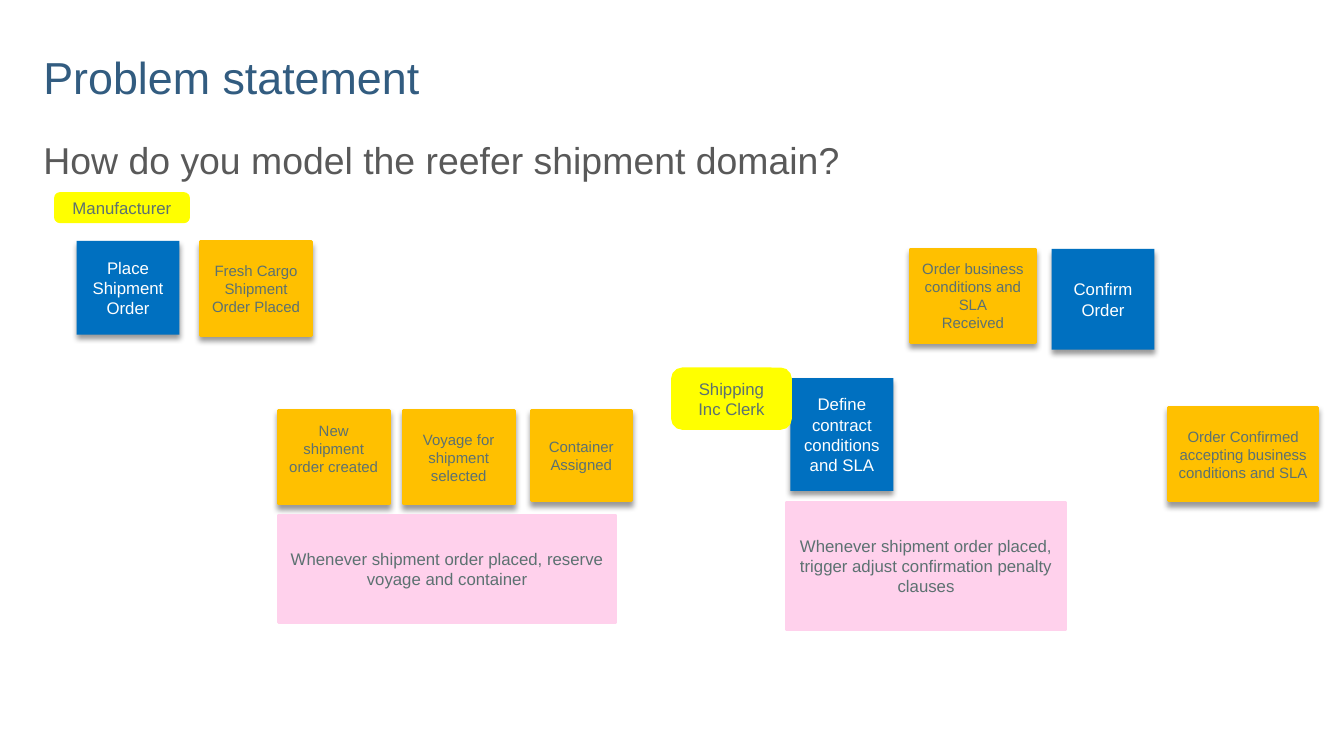
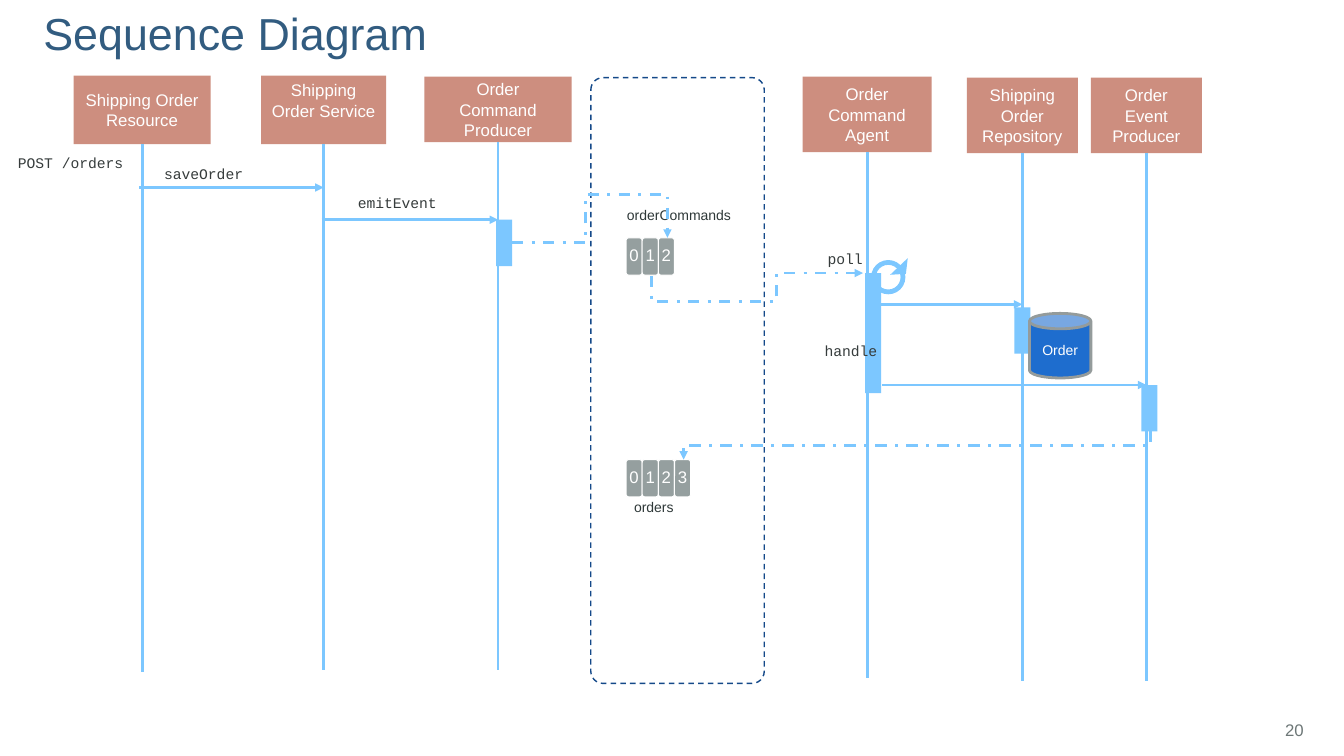
from dataclasses import dataclass

from lxml import etree
from pptx import Presentation
from pptx.dml.color import RGBColor
from pptx.enum.dml import MSO_LINE
from pptx.enum.shapes import MSO_CONNECTOR, MSO_SHAPE
from pptx.enum.text import MSO_ANCHOR, MSO_AUTO_SIZE, PP_ALIGN
from pptx.oxml.ns import qn
from pptx.util import Emu, Pt

RECTANGLE = MSO_SHAPE.RECTANGLE
ROUNDED = MSO_SHAPE.ROUNDED_RECTANGLE
CAN = MSO_SHAPE.CAN
DONUT = MSO_SHAPE.DONUT
TRIANGLE = MSO_SHAPE.ISOSCELES_TRIANGLE
STRAIGHT = MSO_CONNECTOR.STRAIGHT
ELBOW = MSO_CONNECTOR.ELBOW
DASH = MSO_LINE.DASH
DASH_DOT = MSO_LINE.DASH_DOT
LEFT, CENTER, RIGHT = PP_ALIGN.LEFT, PP_ALIGN.CENTER, PP_ALIGN.RIGHT
TOP, MIDDLE, BOTTOM = MSO_ANCHOR.TOP, MSO_ANCHOR.MIDDLE, MSO_ANCHOR.BOTTOM
NO_FIT, GROW = MSO_AUTO_SIZE.NONE, MSO_AUTO_SIZE.SHAPE_TO_FIT_TEXT

EMU_PER_PX = 9144
SLIDE_WIDTH, SLIDE_HEIGHT = 1333, 750
TITLE_ONLY_LAYOUT, TITLE_BODY_LAYOUT = 5, 1
BOTTOM_SIDE = 2


@dataclass(frozen=True)
class Theme:
    font: str = "Arial"
    code_font: str = "Courier New"
    title: str = "325C80"
    body: str = "595959"
    note_text: str = "5C7171"
    label: str = "2E3838"
    code: str = "363C3C"
    page: str = "6D7777"
    white: str = "FFFFFF"
    event: str = "FFC000"
    command: str = "0070C0"
    actor: str = "FFFF00"
    policy: str = "FFD1EC"
    participant: str = "CD8E7F"
    flow: str = "7CC7FF"
    message: str = "959F9F"
    frame: str = "144989"
    store: str = "1E6DCE"
    store_line: str = "949B9B"
    title_size: float = 32
    body_size: float = 26.7
    text_size: float = 12
    event_size: float = 10.7
    code_size: float = 10.5
    label_size: float = 10
    line: float = 2
    thin_line: float = 0.75


THEME = Theme()


def px(length):
    return Emu(round(length * EMU_PER_PX))


def write(frame, text, *, size=THEME.text_size, color=THEME.white, font=THEME.font,
          align=CENTER, anchor=MIDDLE, insets=(10, 5, 10, 5), wrap=True,
          fit=NO_FIT, line_spacing=None, space_before=0):
    frame.auto_size = fit
    frame.word_wrap = wrap
    frame.vertical_anchor = anchor
    frame.margin_left, frame.margin_top, frame.margin_right, frame.margin_bottom = map(px, insets)
    for index, words in enumerate(text.split("\n")):
        paragraph = frame.add_paragraph() if index else frame.paragraphs[0]
        paragraph.alignment = align
        paragraph.space_before = Pt(space_before)
        if line_spacing:
            paragraph.line_spacing = line_spacing
        run = paragraph.add_run()
        run.text = words
        run.font.name = font
        run.font.size = Pt(size)
        run.font.color.rgb = RGBColor.from_string(color)


class Deck:
    def __init__(self, theme):
        self.theme = theme
        self.presentation = Presentation()
        self.presentation.slide_width = px(SLIDE_WIDTH)
        self.presentation.slide_height = px(SLIDE_HEIGHT)
        self.slide = None

    def add_slide(self, layout, title, title_height):
        self.slide = self.presentation.slides.add_slide(self.presentation.slide_layouts[layout])
        shape = self.slide.shapes.title
        self.place(shape, 43, 7, 1191, title_height)
        write(shape.text_frame, title, size=self.theme.title_size, color=self.theme.title,
              align=LEFT, anchor=BOTTOM, insets=(0, 5, 10, 0), line_spacing=0.85)

    def place(self, shape, left, top, width, height):
        shape.left, shape.top, shape.width, shape.height = map(px, (left, top, width, height))

    def body(self, text, left, top, width, height):
        shape = self.slide.placeholders[1]
        self.place(shape, left, top, width, height)
        write(shape.text_frame, text, size=self.theme.body_size, color=self.theme.body,
              align=LEFT, anchor=TOP, insets=(0, 5, 10, 5), space_before=8)
        properties = shape.text_frame.paragraphs[0]._p.get_or_add_pPr()
        properties.set("marL", "0")
        properties.set("indent", "0")
        etree.SubElement(properties, qn("a:buNone"))

    def box(self, left, top, width, height, fill=None, line=None, line_width=THEME.line,
            kind=RECTANGLE, text=None, adjustment=None, shadow=False, **text_format):
        shape = self.slide.shapes.add_shape(kind, *map(px, (left, top, width, height)))
        shape.shadow.inherit = False
        if fill:
            shape.fill.solid()
            shape.fill.fore_color.rgb = RGBColor.from_string(fill)
        else:
            shape.fill.background()
        if line:
            shape.line.color.rgb = RGBColor.from_string(line)
            shape.line.width = Pt(line_width)
        else:
            shape.line.fill.background()
        if adjustment is not None:
            shape.adjustments[0] = adjustment
        if shadow:
            self.drop_shadow(shape)
        if text:
            write(shape.text_frame, text, **text_format)
        return shape

    def drop_shadow(self, shape):
        effects = shape.element.spPr.find(qn("a:effectLst"))
        outer = etree.SubElement(effects, qn("a:outerShdw"), blurRad=str(Pt(4)),
                                 dist=str(Pt(3)), dir="5400000", rotWithShape="0")
        color = etree.SubElement(outer, qn("a:srgbClr"), val="000000")
        etree.SubElement(color, qn("a:alpha"), val="40000")

    def event(self, text, left, top, width, height=93, **text_format):
        self.box(left, top, width, height, self.theme.event, self.theme.event, text=text,
                 shadow=True, size=self.theme.event_size, color=self.theme.note_text,
                 **text_format)

    def command(self, text, left, top, height):
        self.box(left, top, 102, height, self.theme.command, text=text, shadow=True)

    def actor(self, text, left, top, width, height):
        self.box(left, top, width, height, self.theme.actor, self.theme.actor,
                 kind=ROUNDED, text=text, color=self.theme.note_text)

    def policy(self, text, left, top, width, height):
        self.box(left, top, width, height, self.theme.policy, self.theme.policy,
                 text=text, color=self.theme.note_text)

    def participant(self, text, center, top, width, height, line_end, **text_format):
        header = self.box(center - width // 2, top, width, height, self.theme.participant,
                          text=text, **text_format)
        lifeline = self.straight((center, top + height), (center, line_end))
        lifeline.begin_connect(header, BOTTOM_SIDE)

    def activation(self, left, top, height=46):
        self.box(left, top, 16, height, self.theme.flow)

    def queue(self, left, top, count):
        for number in range(count):
            self.box(left + 16 * number, top, 16, 37, self.theme.message, self.theme.white,
                     self.theme.thin_line, ROUNDED, str(number),
                     insets=(0, 0, 0, 0), line_spacing=0.9)

    def text_box(self, text, left, top, width, height, **text_format):
        shape = self.slide.shapes.add_textbox(*map(px, (left, top, width, height)))
        write(shape.text_frame, text, **text_format)

    def label(self, text, left, top, width):
        self.text_box(text, left, top, width, 27, size=self.theme.label_size,
                      color=self.theme.label, align=LEFT, anchor=TOP, wrap=False, fit=GROW)

    def code(self, text, left, top, width):
        self.text_box(text, left, top, width, 28, size=self.theme.code_size,
                      color=self.theme.code, font=self.theme.code_font,
                      align=LEFT, anchor=TOP, wrap=False, fit=GROW)

    def style_connector(self, connector, arrow, dash=None):
        connector.line.color.rgb = RGBColor.from_string(self.theme.flow)
        connector.line.width = Pt(self.theme.line)
        if dash:
            connector.line.dash_style = dash
        properties = connector.element.spPr
        if arrow:
            etree.SubElement(properties.find(qn("a:ln")), qn("a:tailEnd"), type="triangle")
        etree.SubElement(properties, qn("a:effectLst"))

    def straight(self, start, end, arrow=False):
        connector = self.slide.shapes.add_connector(STRAIGHT, *map(px, (*start, *end)))
        self.style_connector(connector, arrow)
        return connector

    def elbow(self, start, end, *bends, vertical=False):
        axes = (1, 0) if vertical else (0, 1)
        spans = [end[axis] - start[axis] for axis in axes]
        width, height = map(abs, spans)
        connector = self.slide.shapes.add_connector(ELBOW, 0, 0, 0, 0)
        self.place(connector, (start[0] + end[0] - width) / 2,
                   (start[1] + end[1] - height) / 2, width, height)
        properties = connector.element.spPr
        transform = properties.find(qn("a:xfrm"))
        if vertical:
            transform.set("rot", "5400000")
        if spans[0] < 0:
            transform.set("flipH", "1")
        if (spans[1] > 0) if vertical else (spans[1] < 0):
            transform.set("flipV", "1")
        geometry = properties.find(qn("a:prstGeom"))
        geometry.set("prst", f"bentConnector{len(bends) + 2}")
        guides = geometry.find(qn("a:avLst"))
        for number, (bend, axis, span) in enumerate(zip(bends, axes, spans), 1):
            ratio = round((bend - start[axis]) / span * 100000)
            etree.SubElement(guides, qn("a:gd"), name=f"adj{number}", fmla=f"val {ratio}")
        self.style_connector(connector, True, DASH_DOT)


def build_problem_statement(deck):
    deck.add_slide(TITLE_BODY_LAYOUT, "Problem statement", 96)
    deck.body("How do you model the reefer shipment domain?", 43, 131, 1224, 79)
    deck.event("Fresh Cargo Shipment Order Placed", 199, 240, 110)
    deck.event("New\nshipment order created", 276, 407, 110, insets=(10, 5, 10, 22))
    deck.event("Container Assigned", 527, 407, 99, 90)
    deck.event("Voyage for shipment\nselected", 400, 407, 110)
    deck.event("Order Confirmed accepting business conditions and SLA", 1159, 404, 148)
    deck.event("Order business conditions and SLA\nReceived", 903, 247, 124)
    deck.actor("Manufacturer", 55, 192, 132, 28)
    deck.command("Place Shipment Order", 76, 239, 93)
    deck.command("Confirm Order", 1043, 247, 100)
    deck.command("Define contract conditions and SLA", 784, 375, 112)
    deck.actor("Shipping Inc Clerk", 667, 366, 117, 59)
    deck.policy("Whenever shipment order placed, trigger adjust confirmation penalty clauses",
                780, 498, 277, 127)
    deck.policy("Whenever shipment order placed, reserve voyage and container",
                276, 511, 335, 107)


def build_sequence_diagram(deck):
    theme = deck.theme
    resource, service, producer, agent, repository, event = 141, 321, 494, 860, 1014, 1137
    deck.add_slide(TITLE_ONLY_LAYOUT, "Sequence Diagram", 52)
    deck.text_box("20", 1245, 704, 58, 40, color=theme.page, align=RIGHT)

    deck.participant("Shipping Order Resource", resource, 75, 136, 68, 667)
    deck.participant("Shipping Order Service", service, 75, 124, 68, 665,
                     insets=(10, 5, 10, 24))
    deck.participant("Order\nCommand\nProducer", producer, 76, 146, 65, 665)
    deck.participant("Order Command\nAgent", agent, 76, 128, 75, 673)
    deck.participant("Shipping Order Repository", repository, 77, 110, 75, 676)
    deck.participant("Order\nEvent\nProducer", event, 77, 110, 75, 676)

    deck.activation(492, 218)
    deck.activation(858, 271, 119)
    deck.activation(1006, 305)
    deck.activation(1132, 382)

    for start, end, top in ((138, service, 186), (319, producer, 218),
                            (864, repository, 302), (875, event, 382)):
        deck.straight((start, top), (end, top), arrow=True)

    deck.queue(621, 236, 3)
    deck.label("orderCommands", 612, 200, 124)
    deck.queue(621, 456, 4)
    deck.label("orders", 619, 490, 60)
    frame = deck.box(586, 77, 172, 601, line=theme.frame, line_width=1, kind=ROUNDED,
                     adjustment=0.07)
    frame.line.dash_style = DASH

    deck.elbow((508, 241), (662, 236), 581, 193)
    deck.elbow((646, 274), (856, 271), 299, 770, vertical=True)
    deck.elbow((1141, 427), (678, 456), 442, vertical=True)

    deck.box(1021, 311, 61, 64, theme.store, theme.store_line, kind=CAN, text="Order",
             size=theme.label_size)
    deck.box(864, 258, 34, 34, theme.flow, kind=DONUT, adjustment=0.14)
    loop_tip = deck.box(883, 263, 24, 10, theme.flow, kind=TRIANGLE)
    loop_tip.rotation = 136.6

    for text, left, top, width in (("POST /orders", 8, 148, 127), ("saveOrder", 153, 159, 104),
                                   ("emitEvent", 345, 187, 101), ("poll", 811, 243, 56),
                                   ("handle", 808, 334, 74)):
        deck.code(text, left, top, width)


def main():
    deck = Deck(THEME)
    build_problem_statement(deck)
    build_sequence_diagram(deck)
    deck.presentation.save("out.pptx")


if __name__ == "__main__":
    main()
